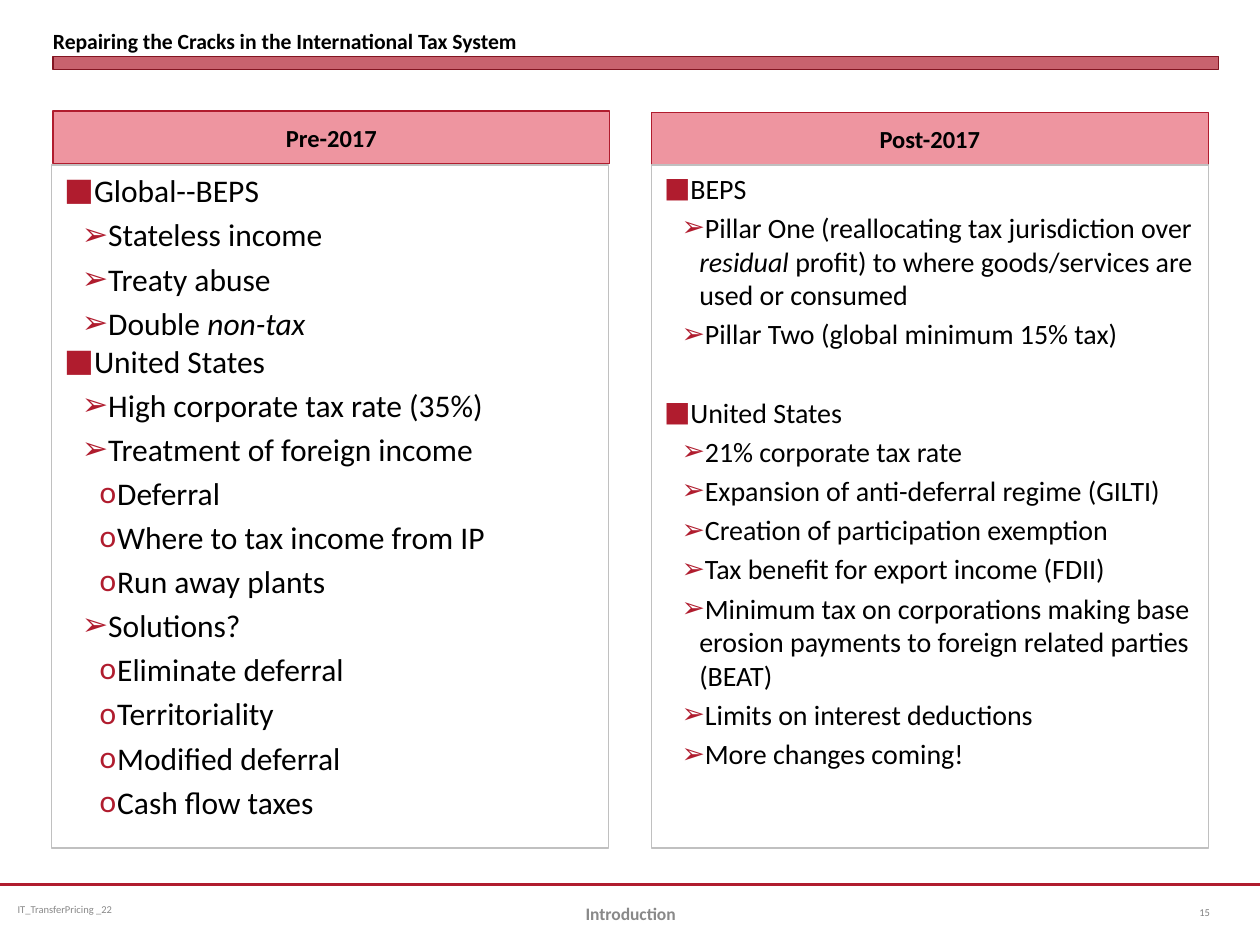
"""Build the slide comparing the international tax system before and after 2017."""
import pptx
import pptx.util
import pptx.dml.color
import pptx.enum.shapes
import pptx.enum.text
import lxml.etree
from dataclasses import dataclass
from pptx.oxml.ns import qn

Inches, Pt = pptx.util.Inches, pptx.util.Pt
Align, Anchor = pptx.enum.text.PP_ALIGN, pptx.enum.text.MSO_ANCHOR


@dataclass
class Theme:
    font: str = "Calibri"
    red: str = "B01C2E"
    edge: str = "821522"
    pink: str = "EE95A0"
    white: str = "FFFFFF"
    frame: str = "C0C0C0"
    ink: str = "000000"
    gray: str = "898989"
    pale: str = "808080"
    title: float = 12.4
    head: float = 14
    left: float = 18
    right: float = 16
    foot: float = 10
    small: float = 6


theme = Theme()
rgb = pptx.dml.color.RGBColor.from_string


def style(para, size, color, bold=False, align=Align.LEFT):
    para.alignment = align
    font = para.font
    font.name, font.size, font.bold = theme.font, Pt(size), bold
    font.color.rgb = rgb(color)


def place(shape, box, fill=None, line=None, width=0.75):
    shape.left, shape.top, shape.width, shape.height = map(Inches, box)
    if fill:
        shape.fill.solid()
        shape.fill.fore_color.rgb = rgb(fill)
        shape.line.color.rgb = rgb(line)
        shape.line.width = Pt(width)
    frame = shape.text_frame
    frame.word_wrap = True
    frame.auto_size = pptx.enum.text.MSO_AUTO_SIZE.NONE
    return frame


deck = pptx.Presentation()
deck.slide_width, deck.slide_height = Inches(10), Inches(7.5)
slide = deck.slides.add_slide(deck.slide_layouts.get_by_name("Comparison"))
shapes = slide.shapes
holders = slide.placeholders

frame = place(shapes.title, (0.42, 0, 9.25, 0.43))
frame.margin_left = frame.margin_right = frame.margin_top = frame.margin_bottom = 0
frame.vertical_anchor = Anchor.BOTTOM
frame.text = "Repairing the Cracks in the International Tax System"
style(frame.paragraphs[0], theme.title, theme.ink, True)

bar = shapes.add_shape(pptx.enum.shapes.MSO_SHAPE.RECTANGLE, 0, 0, 0, 0)
place(bar, (0.42, 0.45, 9.25, 0.1), theme.red, theme.edge, 0)
bar.shadow.inherit = False
tint = bar.fill._xPr.find(qn("a:solidFill"))[0]
lxml.etree.SubElement(tint, qn("a:alpha"), val="69000")

rule = shapes.add_connector(
    pptx.enum.shapes.MSO_CONNECTOR.STRAIGHT, 0, Inches(7.02), Inches(10), Inches(7.02))
rule.line.color.rgb = rgb(theme.red)
rule.line.width = Pt(1.25)
lxml.etree.SubElement(rule._element.spPr, qn("a:effectLst"))

before = [
    (0, "Global--BEPS"),
    (1, "Stateless income"),
    (1, "Treaty abuse"),
    (1, "Double *non-tax*"),
    (0, "United States"),
    (1, "High corporate tax rate (35%)"),
    (1, "Treatment of foreign income"),
    (2, "Deferral"),
    (2, "Where to tax income from IP"),
    (2, "Run away plants"),
    (1, "Solutions?"),
    (2, "Eliminate deferral"),
    (2, "Territoriality"),
    (2, "Modified deferral"),
    (2, "Cash flow taxes"),
]
after = [
    (0, "BEPS"),
    (1, "Pillar One (reallocating tax jurisdiction over *residual* profit) "
        "to where goods/services are used or consumed"),
    (1, "Pillar Two (global minimum 15% tax)"),
    (0, "United States"),
    (1, "21% corporate tax rate"),
    (1, "Expansion of anti-deferral regime (GILTI)"),
    (1, "Creation of participation exemption"),
    (1, "Tax benefit for export income (FDII)"),
    (1, "Minimum tax on corporations making base erosion payments "
        "to foreign related parties (BEAT)"),
    (1, "Limits on interest deductions"),
    (1, "More changes coming!"),
]
columns = [
    (1, "Pre-2017", 0.42, 0.88, 0.41, before, theme.left, 0.1),
    (3, "Post-2017", 5.17, 0.89, 5.17, after, theme.right, 25.6),
]
marks = "■➢o"
step = Inches(0.14)

for idx, name, left, top, edge, items, size, gap in columns:
    frame = place(holders[idx], (left, top, 4.42, 0.42), theme.pink, theme.red)
    frame.vertical_anchor = Anchor.MIDDLE
    frame.text = name
    style(frame.paragraphs[0], theme.head, theme.ink, True, Align.CENTER)
    frame.paragraphs[0].space_before = Pt(0)

    frame = place(holders[idx + 1], (edge, 1.31, 4.42, 5.42), theme.white, theme.frame)
    frame.vertical_anchor = Anchor.TOP
    for row, (level, text) in enumerate(items):
        para = frame.add_paragraph() if row else frame.paragraphs[0]
        para.level = level
        props = para._p.get_or_add_pPr()
        props.set("marL", str(step * (level + 1)))
        props.set("indent", str(-step))
        tone = lxml.etree.SubElement(props, qn("a:buClr"))
        lxml.etree.SubElement(tone, qn("a:srgbClr"), val=theme.red)
        lxml.etree.SubElement(props, qn("a:buFont"), typeface=theme.font)
        lxml.etree.SubElement(props, qn("a:buChar"), char=marks[level])
        style(para, size, theme.ink)
        space = size * 0.2 if level else gap
        para.space_before = Pt(space if row else 0)
        for part, piece in enumerate(text.split("*")):
            if piece:
                run = para.add_run()
                run.text = piece
                if part % 2:
                    run.font.italic = True

notes = [
    ("IT_TransferPricing _22", (0.08, 7.02, 2.58, 0.4), theme.small, theme.gray, False, Align.LEFT, 0.06),
    ("15", (9.42, 7.04, 0.5, 0.4), theme.small, theme.pale, False, Align.LEFT, 0.1),
    ("Introduction", (3.42, 7.05, 3.17, 0.4), theme.foot, theme.gray, True, Align.CENTER, 0.1),
]
for text, box, size, color, bold, align, inset in notes:
    frame = place(shapes.add_textbox(0, 0, 0, 0), box)
    frame.margin_left = frame.margin_right = Inches(inset)
    frame.margin_top = frame.margin_bottom = Inches(inset / 2)
    frame.vertical_anchor = Anchor.MIDDLE
    frame.text = text
    style(frame.paragraphs[0], size, color, bold, align)

deck.save("out.pptx")
